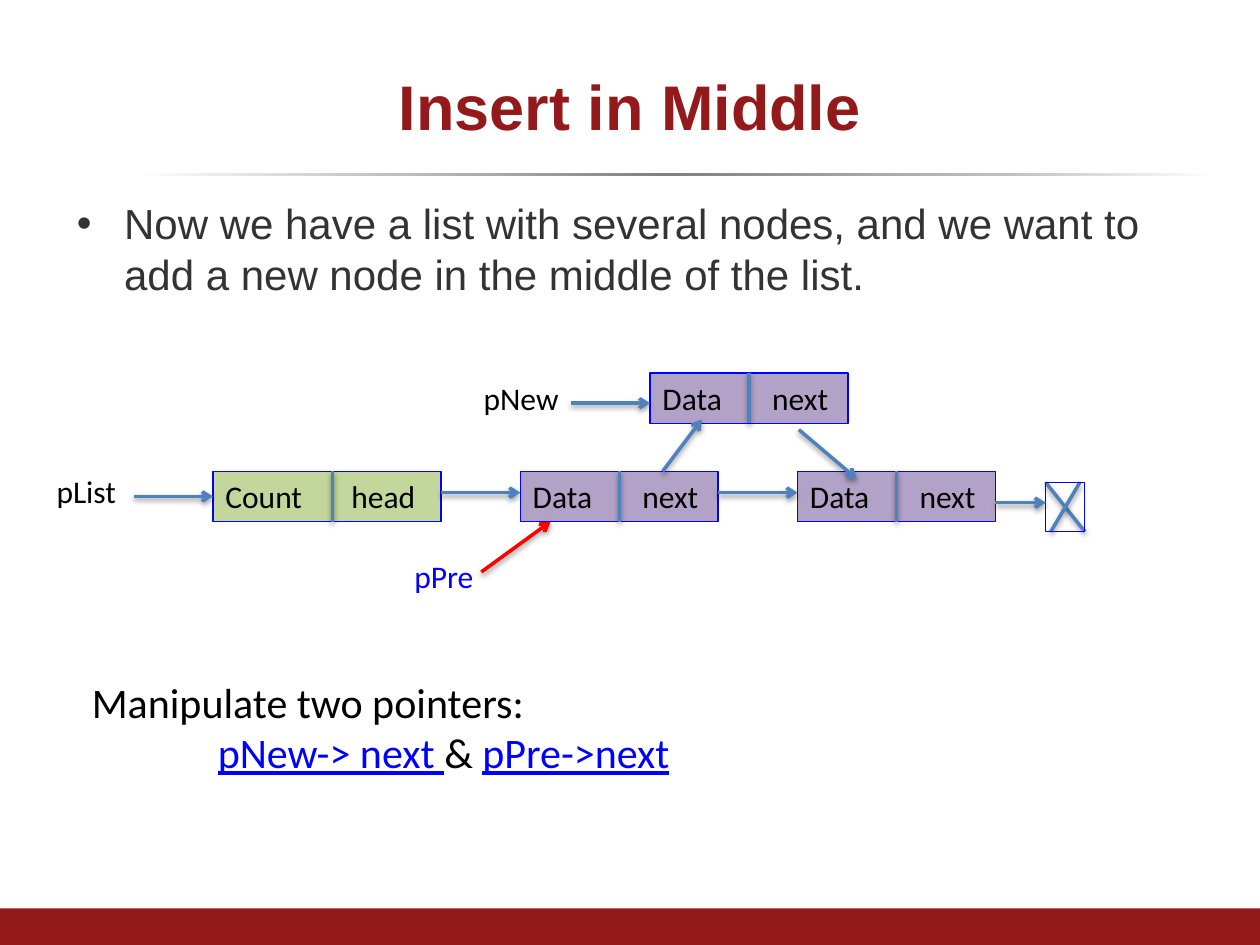
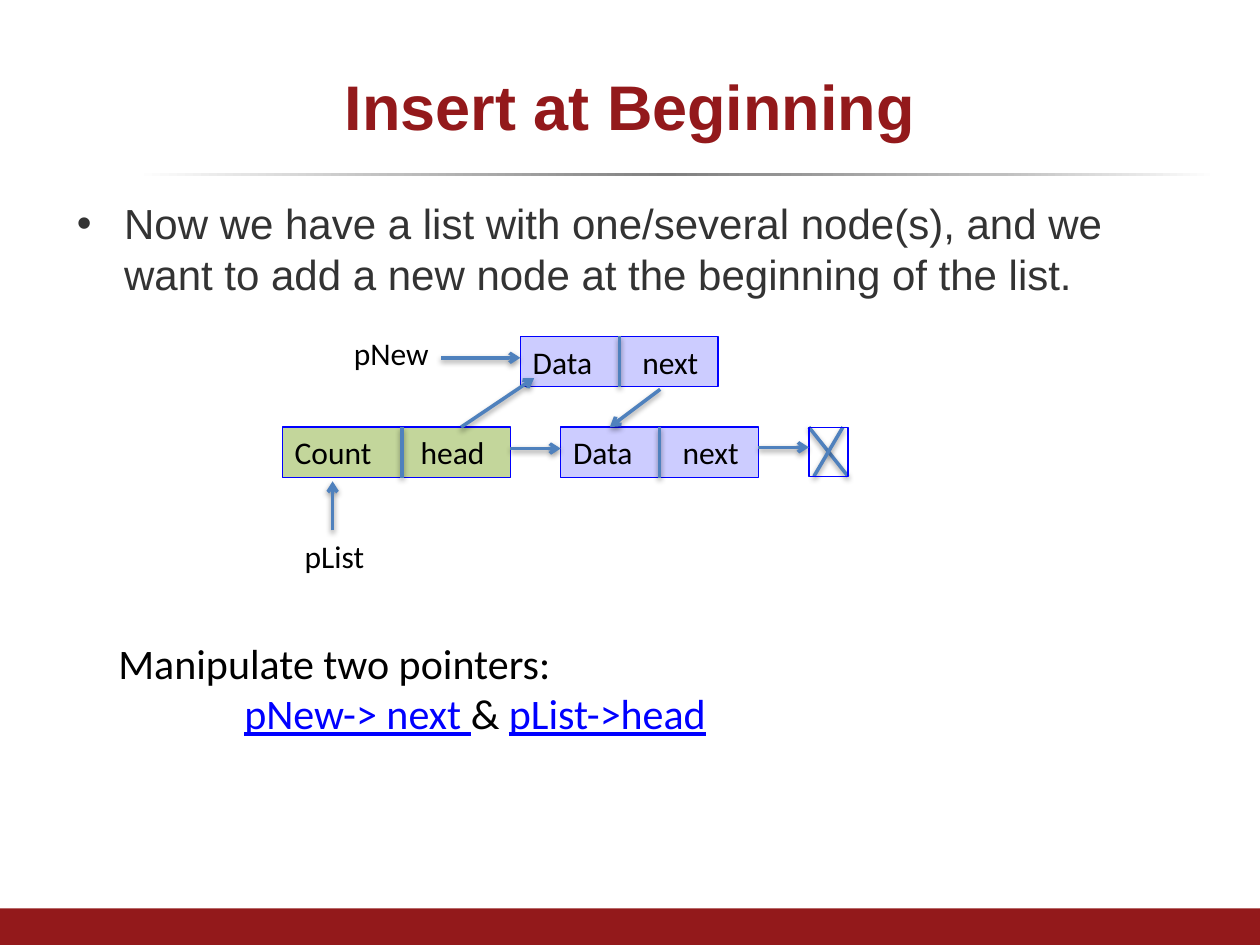
from dataclasses import dataclass

import pptx
import pptx.dml.color
import pptx.enum.shapes
import pptx.enum.text
import pptx.oxml
import pptx.oxml.ns
import pptx.util

Inches = pptx.util.Inches
Pt = pptx.util.Pt


@dataclass(frozen=True)
class Theme:
    red: str = "93191B"
    body: str = "333333"
    ink: str = "000000"
    blue: str = "0000FF"
    arrow: str = "4F81BD"
    alert: str = "FF0000"
    purple: str = "B3A2C7"
    lilac: str = "CCCCFF"
    green: str = "C3D69B"
    rule_stops: tuple = ((0, "FFFFFF"), (24, "BFBFBF"), (49, "808080"),
                         (80, "BFBFBF"), (100, "FFFFFF"))
    heading_font: str = "Arial"
    diagram_font: str = "Calibri"
    title_size: int = 36
    text_size: int = 24
    label_size: int = 18


@dataclass(frozen=True)
class Box:
    left: float
    top: float
    width: float
    height: float

    def at(self, across, down):
        return self.left + across, self.top + down

    def inches(self):
        return [Inches(n) for n in (self.left, self.top, self.width, self.height)]


THEME = Theme()
TITLE = Box(0.5, 0.3, 9, 1.07)
BODY = Box(0.51, 1.47, 9, 5.67)
RULE = Box(1.08, 1.37, 8.58, 0.03)
FOOTER = Box(0, 7.21, 10, 0.29)
DATA_WIDTH, HEAD_WIDTH, NODE_HEIGHT = 1.57, 1.81, 0.4
NULL_GAP = 0.4
ARROW_LENGTH = 0.63


# Basic parts
def rgb(value):
    return pptx.dml.color.RGBColor.from_string(value)


def style(font, name, size, color, bold=False):
    font.name, font.size, font.bold = name, Pt(size), bold
    font.color.rgb = rgb(color)


def drawing_xml(tag, inner="", attributes=""):
    namespace = pptx.oxml.ns.nsdecls("a")
    return pptx.oxml.parse_xml(f"<a:{tag} {namespace} {attributes}>{inner}</a:{tag}>")


def add_rectangle(shapes, box, fill=None, outline=None):
    shape = shapes.add_shape(pptx.enum.shapes.MSO_SHAPE.RECTANGLE, *box.inches())
    shape.shadow.inherit = False
    if fill:
        shape.fill.solid()
        shape.fill.fore_color.rgb = rgb(fill)
    else:
        shape.fill.background()
    if outline:
        shape.line.color.rgb = rgb(outline)
        shape.line.width = Pt(0.75)
    else:
        shape.line.fill.background()
    return shape


def add_line(shapes, start, end, color=THEME.arrow, arrow=False):
    line = shapes.add_connector(pptx.enum.shapes.MSO_CONNECTOR.STRAIGHT,
                                *[Inches(n) for n in (*start, *end)])
    line.line.color.rgb = rgb(color)
    line.line.width = Pt(2)
    properties = line.element.spPr
    if arrow:
        outline = properties.find(pptx.oxml.ns.qn("a:ln"))
        outline.append(drawing_xml("tailEnd", attributes='type="arrow"'))
    properties.append(drawing_xml(
        "effectLst",
        '<a:outerShdw blurRad="40000" dist="20000" dir="5400000" rotWithShape="0">'
        '<a:srgbClr val="000000"><a:alpha val="38000"/></a:srgbClr></a:outerShdw>'))


def add_label(page, text, left, top, color=THEME.ink):
    box = Box(left, top, 1.02, NODE_HEIGHT)
    frame = page.shapes.add_textbox(*box.inches()).text_frame
    frame.word_wrap = True
    frame.text = text
    style(frame.paragraphs[0].runs[0].font, THEME.diagram_font, THEME.label_size, color)
    return box


# Linked list parts
def add_node(page, box, fields, fill, divider, tab):
    frame = add_rectangle(page.shapes, box, fill, THEME.blue).text_frame
    frame.vertical_anchor = pptx.enum.text.MSO_ANCHOR.TOP
    frame.word_wrap = True
    para = frame.paragraphs[0]
    para.text = "\t".join(fields)
    para.alignment = pptx.enum.text.PP_ALIGN.LEFT
    stop = f'<a:tab pos="{Inches(tab)}" algn="l"/>'
    para._p.get_or_add_pPr().append(drawing_xml("tabLst", stop))
    for span in para.runs:
        style(span.font, THEME.diagram_font, THEME.label_size, THEME.ink)
    add_line(page.shapes, box.at(divider, 0), box.at(divider, box.height))
    return box


def add_data_node(page, left, top, fill):
    box = Box(left, top, DATA_WIDTH, NODE_HEIGHT)
    return add_node(page, box, ("Data", "next"), fill, DATA_WIDTH / 2, 0.87)


def add_head_node(page, left, top):
    box = Box(left, top, HEAD_WIDTH, NODE_HEIGHT)
    return add_node(page, box, ("Count", "head"), THEME.green, 0.95, 1)


def add_null(page, left, top):
    box = Box(left, top, 0.31, 0.39)
    group = page.shapes.add_group_shape()
    add_line(group.shapes, box.at(0, 0), box.at(box.width, box.height))
    add_line(group.shapes, box.at(0.27, 0), box.at(0.04, box.height))
    add_rectangle(group.shapes, box, outline=THEME.blue)


def add_chain(page, left, top, data_count, gap, fill, null_drop=0):
    """Draw head node, data nodes and null from left to right."""
    nodes = [add_head_node(page, left, top)]
    for _ in range(data_count):
        before = nodes[-1]
        node = add_data_node(page, before.left + before.width + gap, top, fill)
        add_line(page.shapes, before.at(before.width, 0.17), node.at(0, 0.17), arrow=True)
        nodes.append(node)
    last, link = nodes[-1], null_drop + 0.16
    add_null(page, last.left + last.width + NULL_GAP, top + null_drop)
    add_line(page.shapes, last.at(last.width, link),
             last.at(last.width + NULL_GAP, link), arrow=True)
    return nodes


def add_side_pointer(page, text, node, down, label_reach):
    """Label to the left of a node, with a level arrow to it."""
    add_label(page, text, node.left - label_reach, node.top + down - 0.24)
    add_line(page.shapes, node.at(-ARROW_LENGTH, down), node.at(0, down), arrow=True)


# Slide regions
def add_master_bands(deck, page):
    """Draw the rule and footer band, then move them to the slide master."""
    rule = add_rectangle(page.shapes, RULE)
    rule.fill.gradient()
    rule.fill.gradient_angle = 0
    gradient = rule.element.spPr.find(pptx.oxml.ns.qn("a:gradFill"))
    stops = "".join(f'<a:gs pos="{place * 1000}"><a:srgbClr val="{color}"/></a:gs>'
                    for place, color in THEME.rule_stops)
    gradient.replace(gradient.find(pptx.oxml.ns.qn("a:gsLst")), drawing_xml("gsLst", stops))
    footer = add_rectangle(page.shapes, FOOTER, THEME.red)
    for number, band in enumerate((rule, footer), 20):
        band.element.nvSpPr.cNvPr.set("id", str(number))
        deck.slide_master.shapes.element.append(band.element)


def fill_placeholder(shape, box, text, size, color, bold=False):
    shape.left, shape.top, shape.width, shape.height = box.inches()
    frame = shape.text_frame
    frame.text = text
    frame.auto_size = pptx.enum.text.MSO_AUTO_SIZE.NONE
    style(frame.paragraphs[0].runs[0].font, THEME.heading_font, size, color, bold)
    return frame


def add_page(deck, title, statement):
    page = deck.slides.add_slide(deck.slide_layouts[1])
    frame = fill_placeholder(page.shapes.title, TITLE, title,
                             THEME.title_size, THEME.red, True)
    frame.vertical_anchor = pptx.enum.text.MSO_ANCHOR.MIDDLE
    frame.paragraphs[0].alignment = pptx.enum.text.PP_ALIGN.CENTER
    frame = fill_placeholder(page.placeholders[1], BODY, statement,
                             THEME.text_size, THEME.body)
    frame.margin_top = Inches(0.1)
    frame.paragraphs[0].space_before = Pt(0)
    return page


def add_summary(page, left, top, second_pointer):
    box = Box(left, top, 6.22, 0.91)
    frame = page.shapes.add_textbox(*box.inches()).text_frame
    frame.word_wrap = True
    frame.text = "Manipulate two pointers:"
    style(frame.paragraphs[0].runs[0].font, THEME.diagram_font, THEME.text_size, THEME.ink)
    para = frame.add_paragraph()
    para._p.get_or_add_pPr().set("marL", str(Inches(1)))
    for text, linked in (("pNew-> next ", True), ("& ", False), (second_pointer, True)):
        span = para.add_run()
        span.text = text
        style(span.font, THEME.diagram_font, THEME.text_size,
              THEME.blue if linked else THEME.ink)
        span.font.underline = linked


# Slides
def build_insert_middle(deck):
    page = add_page(deck, "Insert in Middle",
                    "Now we have a list with several nodes, and we want to "
                    "add a new node in the middle of the list.")
    head, before, after = add_chain(page, 1.69, 3.74, 2, 0.63, THEME.purple, null_drop=0.09)
    new = add_data_node(page, 5.16, 2.96, THEME.purple)
    add_side_pointer(page, "pList", head, 0.2, 1.34)
    add_side_pointer(page, "pNew", new, 0.24, 1.42)
    label = add_label(page, "pPre", 3.19, 4.37, THEME.blue)
    add_line(page.shapes, label.at(0.63, 0.17), before.at(0.24, 0.4), THEME.alert, True)
    add_line(page.shapes, before.at(1.13, 0), new.at(0.41, 0.37), arrow=True)
    add_line(page.shapes, new.at(1.18, 0.45), after.at(0.47, 0.06), arrow=True)
    add_summary(page, 0.63, 5.32, "pPre->next")
    return page


def build_insert_beginning(deck):
    page = add_page(deck, "Insert at Beginning",
                    "Now we have a list with one/several node(s), and we "
                    "want to add a new node at the beginning of the list.")
    head, first = add_chain(page, 2.24, 3.39, 1, 0.4, THEME.lilac)
    new = add_data_node(page, 4.13, 2.67, THEME.lilac)
    add_side_pointer(page, "pNew", new, 0.17, 1.42)
    add_label(page, "pList", head.left + 0.08, head.top + 0.82)
    add_line(page.shapes, head.at(0.4, 0.82), head.at(0.4, 0.43), arrow=True)
    add_line(page.shapes, head.at(1.42, 0), new.at(0.11, 0.33), arrow=True)
    add_line(page.shapes, new.at(1.11, 0.42), first.at(0.39, 0), arrow=True)
    add_summary(page, 0.84, 5.01, "pList->head")


def main():
    deck = pptx.Presentation()
    deck.slide_width, deck.slide_height = Inches(10), Inches(7.5)
    first_page = build_insert_middle(deck)
    add_master_bands(deck, first_page)
    build_insert_beginning(deck)
    deck.save("out.pptx")


if __name__ == "__main__":
    main()
